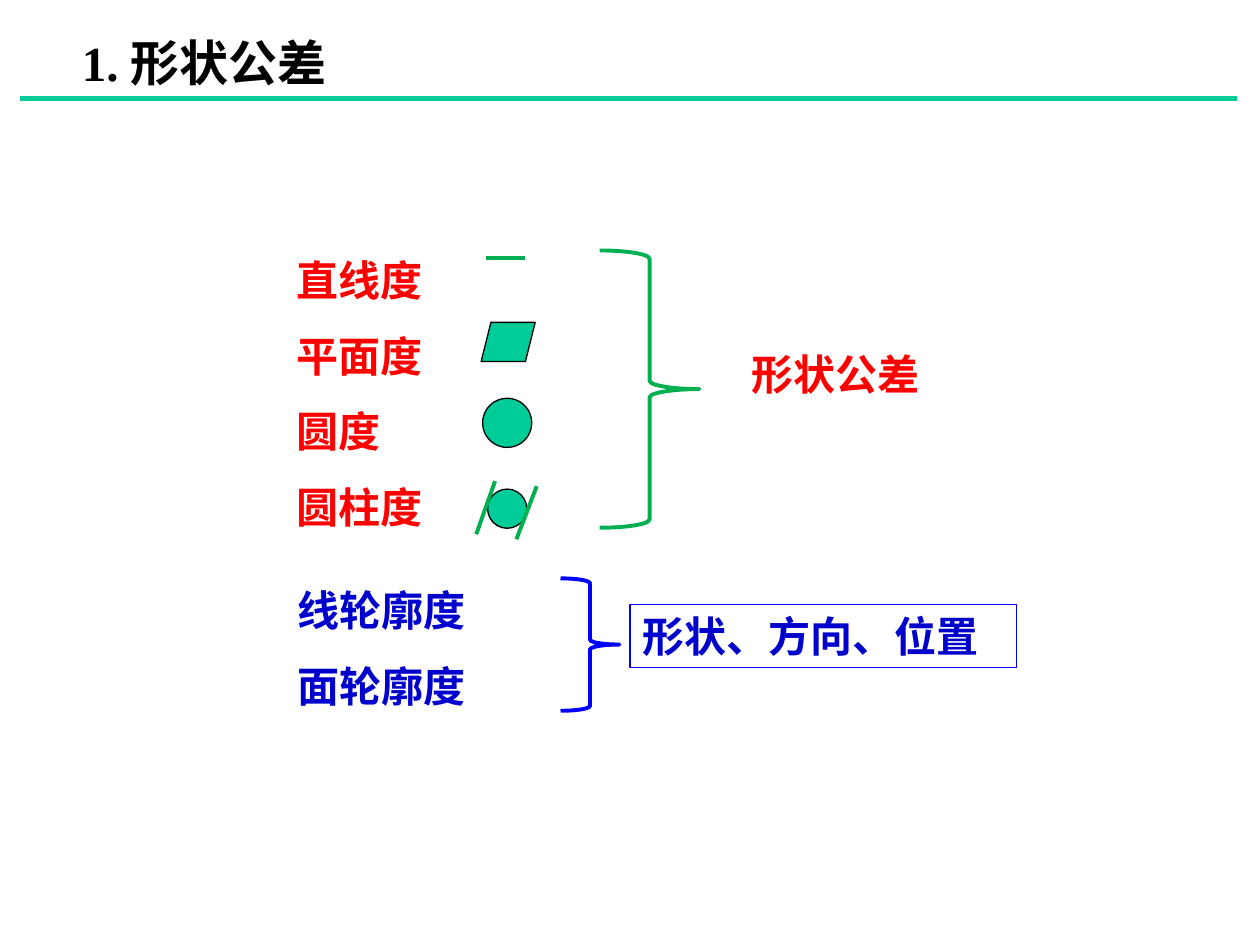
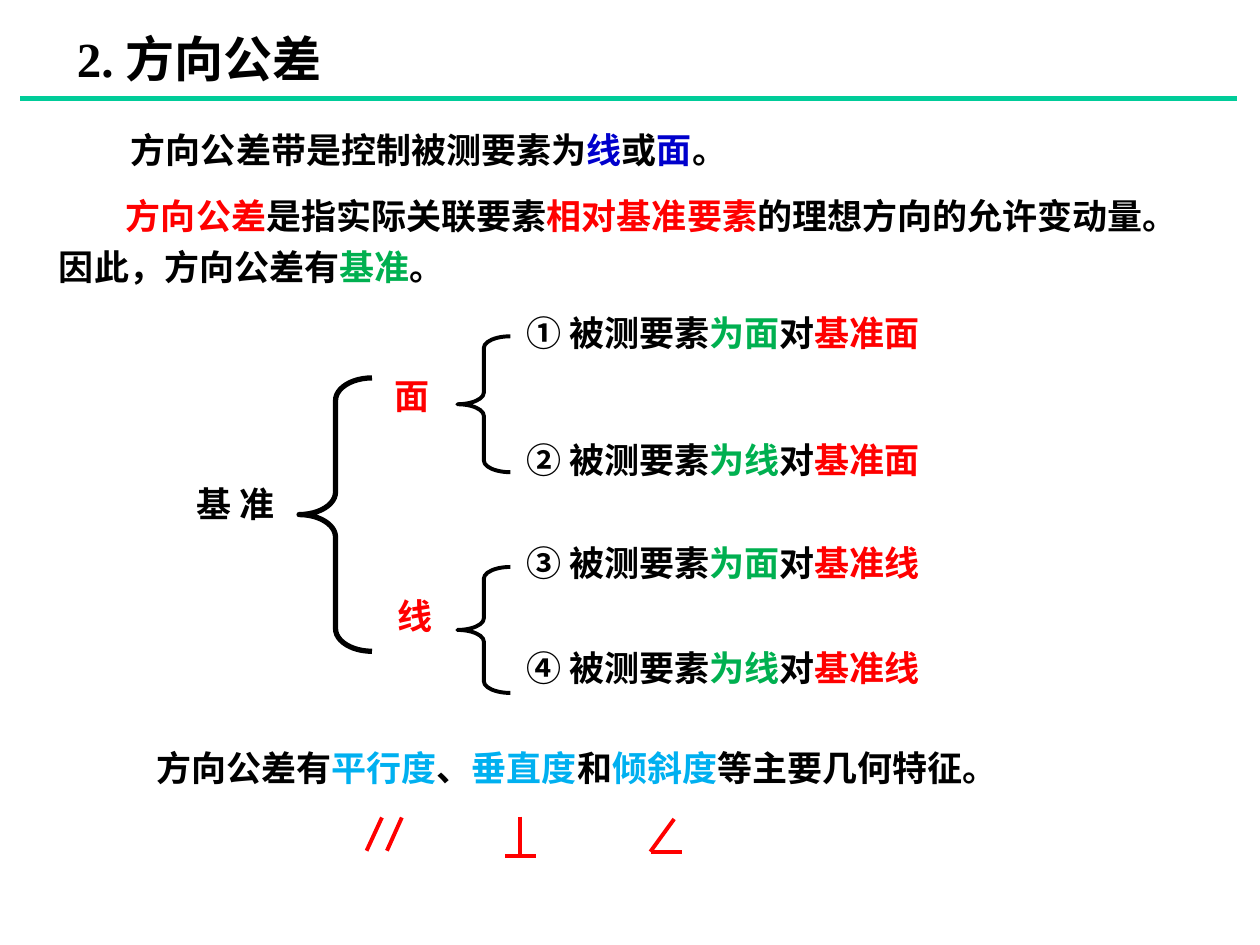
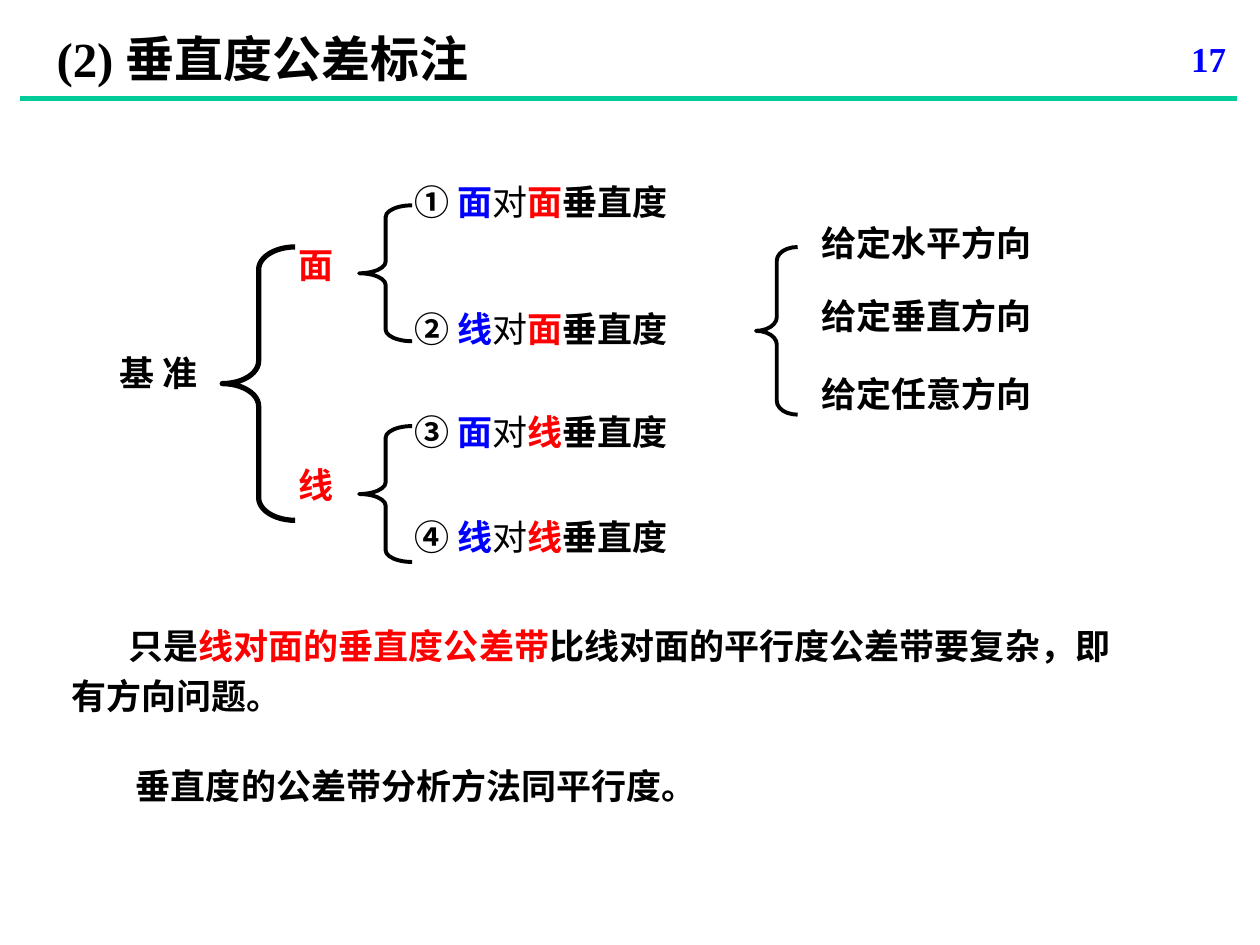
from dataclasses import dataclass

from lxml.etree import SubElement
from pptx import Presentation
from pptx.dml.color import RGBColor
from pptx.enum.shapes import MSO_CONNECTOR, MSO_SHAPE
from pptx.enum.text import MSO_ANCHOR, PP_ALIGN
from pptx.oxml.ns import qn
from pptx.util import Cm, Pt


@dataclass(frozen=True)
class Theme:
    """Colours, fonts, type sizes and line widths of the deck."""

    black: str = "000000"
    red: str = "FF0000"
    blue: str = "0000FF"
    navy: str = "0000CC"
    green: str = "00B050"
    teal: str = "00CC99"
    sky: str = "00B0F0"
    latin_font: str = "Times New Roman"
    chinese_font: str = "Noto Sans CJK SC"
    title_size: float = 28
    label_size: float = 24
    body_size: float = 20
    thin: float = 0.75
    medium: float = 2.25
    thick: float = 3


@dataclass(frozen=True)
class Box:
    """A rectangle in centimetres."""

    left: float
    top: float
    width: float
    height: float

    def inside(self, left, top, width, height):
        """Return a box placed relative to this one."""
        return Box(self.left + left, self.top + top, width, height)

    def lengths(self):
        """Return the four measures as lengths."""
        return Cm(self.left), Cm(self.top), Cm(self.width), Cm(self.height)


THEME = Theme()
LINE_HEIGHT = 1.12


def fill_paragraph(paragraph, content, size, color, spacing=None, indent=0):
    """Write a string, or runs of (text, colour[, bold]), into a paragraph."""
    properties = paragraph._p.get_or_add_pPr()
    if indent:
        properties.set("indent", str(Cm(indent)))
    if spacing:
        paragraph.line_spacing = spacing
    font = paragraph.font
    font.name, font.size, font.bold = THEME.latin_font, Pt(size), True
    east_asian = SubElement(properties.find(qn("a:defRPr")), qn("a:ea"))
    east_asian.set("typeface", THEME.chinese_font)
    if isinstance(content, str):
        font.color.rgb = RGBColor.from_string(color)
        paragraph.add_run().text = content
        return
    for text, run_color, *bold in content:
        run = paragraph.add_run()
        run.text = text
        run.font.color.rgb = RGBColor.from_string(run_color)
        if bold:
            run.font.bold = bold[0]


def add_text(slide, box, *contents, size=THEME.body_size, color=THEME.black,
             spacing=None, indent=0, align=PP_ALIGN.LEFT):
    """Add a wrapping text box with one paragraph for each content."""
    frame = slide.shapes.add_textbox(*box.lengths()).text_frame
    frame.word_wrap = True
    for index, content in enumerate(contents):
        paragraph = frame.add_paragraph() if index else frame.paragraphs[0]
        paragraph.alignment = align
        fill_paragraph(paragraph, content, size, color, spacing, indent)


def add_figure(slide, kind, box, color, width, fill=None, adjustment=None):
    """Add a preset shape with an outline and an optional fill."""
    shape = slide.shapes.add_shape(kind, *box.lengths())
    shape.shadow.inherit = False
    shape.line.color.rgb = RGBColor.from_string(color)
    shape.line.width = Pt(width)
    if fill:
        shape.fill.solid()
        shape.fill.fore_color.rgb = RGBColor.from_string(fill)
    else:
        shape.fill.background()
    if adjustment:
        shape.adjustments[0] = adjustment
    return shape


def add_stroke(slide, box, ends, color, width=THEME.medium):
    """Add a straight line whose ends are relative to the box."""
    x1, y1, x2, y2 = ends
    connector = slide.shapes.add_connector(
        MSO_CONNECTOR.STRAIGHT, Cm(box.left + x1), Cm(box.top + y1),
        Cm(box.left + x2), Cm(box.top + y2))
    connector.line.color.rgb = RGBColor.from_string(color)
    connector.line.width = Pt(width)
    SubElement(connector._element.spPr, qn("a:effectLst"))


def add_left_brace(slide, box, adjustment, width=THEME.medium):
    """Add a black brace that opens to the right."""
    add_figure(slide, MSO_SHAPE.LEFT_BRACE, box, THEME.black, width,
               adjustment=adjustment)


def add_header(slide, title, box):
    """Add the slide title and the rule beneath it."""
    add_text(slide, box, title, size=THEME.title_size)
    add_stroke(slide, Box(0.41, 1.98, 24.53, 0), (0, 0, 24.53, 0),
               THEME.teal, THEME.thick)


def add_form_symbols(slide, box):
    """Draw the straightness, flatness, roundness and cylindricity symbols."""
    add_stroke(slide, box, (0.2, 0, 0.99, 0), THEME.green)
    for kind, left, top, width, height in (
            (MSO_SHAPE.PARALLELOGRAM, 0.1, 1.29, 1.09, 0.79),
            (MSO_SHAPE.OVAL, 0.13, 2.82, 0.99, 0.99),
            (MSO_SHAPE.OVAL, 0.23, 4.65, 0.79, 0.79)):
        add_figure(slide, kind, box.inside(left, top, width, height),
                   THEME.black, THEME.thin, THEME.teal)
    for ends in ((0.38, 4.49, 0, 5.56), (1.22, 4.59, 0.81, 5.66)):
        add_stroke(slide, box, ends, THEME.green)


def add_form_group(slide, box):
    """List the form tolerances with their symbols and common name."""
    add_text(slide, box.inside(0, 0, 3.99, 6.4),
             "直线度", "平面度", "圆度", "圆柱度",
             size=THEME.label_size, color=THEME.red, spacing=1.5)
    add_form_symbols(slide, box.inside(3.88, 0.71, 1.22, 5.66))
    add_figure(slide, MSO_SHAPE.RIGHT_BRACE, box.inside(6.37, 0.55, 2.01, 5.59),
               THEME.green, THEME.medium)
    add_text(slide, box.inside(9.19, 2.41, 4.39, 1.27), "形状公差",
             size=THEME.label_size, color=THEME.red)


def add_profile_group(slide, box):
    """List the profile tolerances with the framed summary."""
    add_text(slide, box.inside(0, 0, 4.57, 3.33), "线轮廓度", "面轮廓度",
             size=THEME.label_size, color=THEME.navy, spacing=1.5)
    add_figure(slide, MSO_SHAPE.RIGHT_BRACE, box.inside(5.56, 0.51, 1.19, 2.67),
               THEME.blue, THEME.medium)
    summary = add_figure(slide, MSO_SHAPE.RECTANGLE,
                         box.inside(6.96, 1.04, 7.8, 1.27),
                         THEME.blue, THEME.thin)
    frame = summary.text_frame
    frame.word_wrap = True
    frame.vertical_anchor = MSO_ANCHOR.TOP
    frame.paragraphs[0].alignment = PP_ALIGN.LEFT
    fill_paragraph(frame.paragraphs[0], "形状、方向、位置",
                   THEME.label_size, THEME.navy)


def add_datum_tree(slide, box, items, branch_lefts, brace_left, item_left,
                   lower_brace):
    """Draw the datum tree: root, plane and line branches, four items."""
    add_text(slide, box.inside(0, 3.45, 2.59, LINE_HEIGHT), "基 准")
    add_left_brace(slide, box.inside(2.32, 1.47, 1.47, 5.51), 0.31, THEME.thick)
    branches = zip("面线", branch_lefts, (1.27, 5.71), ((0.63, 2.74), lower_brace))
    for name, left, top, (brace_top, brace_height) in branches:
        add_text(slide, box.inside(left, top, 1.4, LINE_HEIGHT), name,
                 color=THEME.red)
        add_left_brace(slide, box.inside(brace_left, brace_top, 1.07, brace_height),
                       0.22)
    for item, top in zip(items, (0, 2.56, 4.65, 6.75)):
        add_text(slide, box.inside(item_left, top, 10.8, LINE_HEIGHT), item)


def add_direction_choices(slide, box):
    """List the three given directions behind a brace."""
    add_left_brace(slide, box.inside(0, 0.64, 0.84, 3.38), 0.33)
    for direction, top in zip("水平 垂直 任意".split(), (0, 1.48, 3.05)):
        add_text(slide, box.inside(1.07, top, 8, LINE_HEIGHT),
                 f"给定{direction}方向")


def add_orientation_symbols(slide, box):
    """Draw the parallelism, perpendicularity and angularity symbols."""
    for ends in ((0.31, 0.02, 0, 0.69), (0.71, 0.02, 0.41, 0.69),
                 (3.1, 0, 3.1, 0.79), (3.41, 0.79, 2.8, 0.79),
                 (5.72, 0.71, 6.2, 0.05), (5.74, 0.71, 6.35, 0.71)):
        add_stroke(slide, box, ends, THEME.red)


def build_form_slide(slide):
    """Build the slide on form tolerances."""
    add_header(slide, "1. 形状公差", Box(1.4, 0.53, 6.76, 1.45))
    add_form_group(slide, Box(5.72, 4.5, 13.58, 6.4))
    add_profile_group(slide, Box(5.74, 11.15, 14.76, 3.33))


def build_orientation_slide(slide):
    """Build the slide on orientation tolerances."""
    black, red, navy, sky = THEME.black, THEME.red, THEME.navy, THEME.sky
    add_header(slide, "2. 方向公差", Box(1.3, 0.46, 9.58, 1.45))
    add_text(slide, Box(2.39, 2.46, 20.75, LINE_HEIGHT),
             [("方向公差带是控制被测要素为", black), ("线", navy), ("或", black),
              ("面", navy), ("。", black)])
    add_text(slide, Box(0.94, 3.63, 23.27, 2.31),
             [("方向公差", red), ("是指实际关联要素", black), ("相对基准要素", red),
              ("的理想方向的允许变动量。因此，方向公差有", black),
              ("基准", THEME.green), ("。", black)],
             spacing=1.2, indent=1.35)
    items = [[(f"{number} 被测要素", black), (f"为{feature}", THEME.green),
              ("对", black), (f"基准{datum}", red)]
             for number, feature, datum in zip("①②③④", "面线面线", "面面线线")]
    add_datum_tree(slide, Box(3.71, 6.15, 17.5, 7.87), items,
                   (3.99, 4.06), 5.51, 6.65, (5.28, 2.54))
    add_text(slide, Box(2.9, 14.76, 18.8, 1.27),
             [("方向公差有", black), ("平行度", sky), ("、", black), ("垂直度", sky),
              ("和", black), ("倾斜度", sky), ("等主要几何特征。", black)],
             spacing=1.2)
    add_orientation_symbols(slide, Box(7.39, 16.46, 6.35, 0.79))


def build_perpendicularity_slide(slide):
    """Build the slide on perpendicularity tolerances."""
    black, red, blue = THEME.black, THEME.red, THEME.blue
    add_header(slide, "(2) 垂直度公差标注", Box(0.89, 0.46, 18.08, 1.45))
    add_text(slide, Box(19.69, 0.64, 5.28, 1.27), "17", color=blue,
             align=PP_ALIGN.RIGHT)
    items = [[(f"{number} ", black), (feature, blue), ("对", black, False),
              (datum, red), ("垂直度", black)]
             for number, feature, datum in zip("①②③④", "面线面线", "面面线线")]
    add_datum_tree(slide, Box(2.16, 3.51, 16.8, 7.87), items,
                   (3.61, 3.61), 5.08, 5.94, (5.08, 2.74))
    add_direction_choices(slide, Box(15.24, 4.34, 9.07, 4.17))
    add_text(slide, Box(1.19, 12.29, 21.79, 2.31),
             [("只是", black), ("线对面的垂直度公差带", red),
              ("比线对面的平行度公差带要复杂，即有方向问题。", black)],
             spacing=1.2, indent=1.15)
    add_text(slide, Box(2.49, 15.29, 16.03, LINE_HEIGHT),
             "垂直度的公差带分析方法同平行度。")


def main():
    """Build and save the presentation."""
    presentation = Presentation()
    presentation.slide_width, presentation.slide_height = Cm(25.4), Cm(19.05)
    for build in (build_form_slide, build_orientation_slide,
                  build_perpendicularity_slide):
        build(presentation.slides.add_slide(presentation.slide_layouts[6]))
    presentation.save("out.pptx")


if __name__ == "__main__":
    main()
